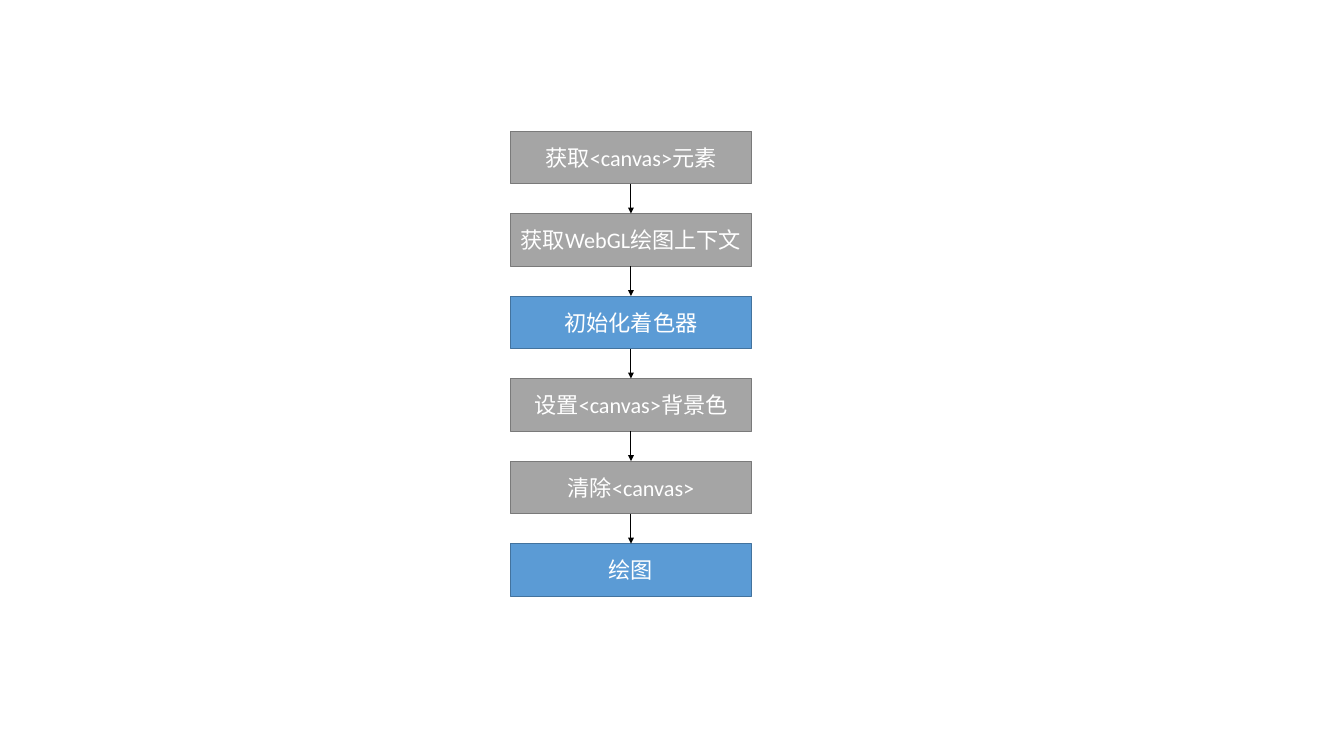
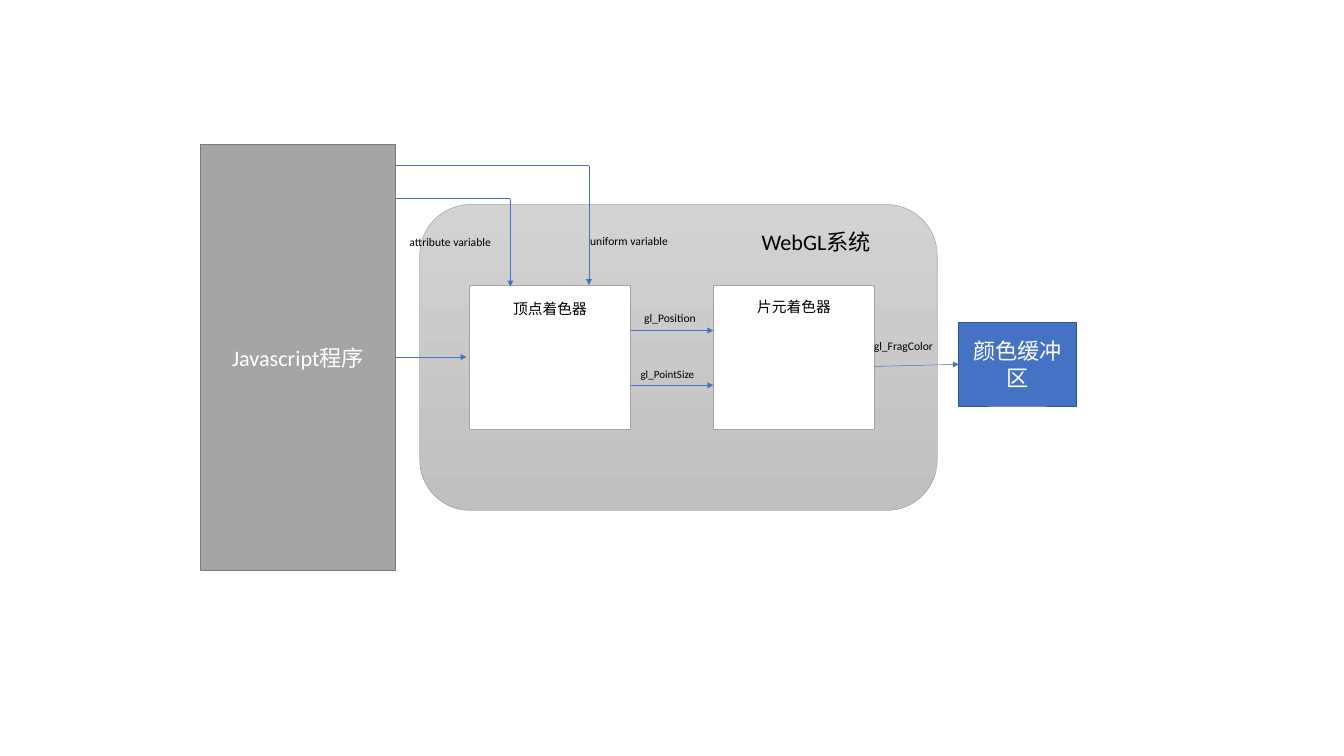
from pptx import Presentation
from pptx.dml.color import RGBColor
from pptx.enum.shapes import MSO_CONNECTOR, MSO_SHAPE
from pptx.enum.text import MSO_ANCHOR, PP_ALIGN
from pptx.oxml.ns import qn
from pptx.util import Inches, Pt
from lxml import etree

RECT, ROUND = MSO_SHAPE.RECTANGLE, MSO_SHAPE.ROUNDED_RECTANGLE
LINE = MSO_CONNECTOR.STRAIGHT
TOP, MID = MSO_ANCHOR.TOP, MSO_ANCHOR.MIDDLE
LEFT, CENTER = PP_ALIGN.LEFT, PP_ALIGN.CENTER

# Shared style
FONT, BIG, SMALL, LABEL = "Calibri", 22.2, 14.7, 11.6
HEX = {"white": "FFFFFF", "black": "000000", "gray": "A5A5A5",
       "gray edge": "7A7A7A", "sky": "5B9BD5", "sky edge": "43739E",
       "blue": "4472C4", "blue edge": "325491",
       "light": "D2D2D2", "dark": "C0C0C0"}
RGB = {name: RGBColor.from_string(code) for name, code in HEX.items()}

deck = Presentation()
deck.slide_width, deck.slide_height = Inches(18.67), Inches(10.5)
blank = deck.slide_layouts[6]


def add_box(slide, area, text="", fill=None, edge=None, size=BIG,
            ink="white", kind=RECT, inset=None):
    """Add a filled box, or a plain label when no fill is given."""
    place = [Inches(v) for v in area]
    if fill:
        box = slide.shapes.add_shape(kind, *place)
        box.shadow.inherit = False
        box.fill.solid()
        box.fill.fore_color.rgb = RGB[fill]
        box.line.color.rgb = RGB[edge]
        box.line.width = Pt(1)
    else:
        box = slide.shapes.add_textbox(*place)
    if text:
        frame = box.text_frame
        frame.word_wrap = True
        frame.vertical_anchor = MID if fill and inset is None else TOP
        if inset is not None:
            frame.margin_top = Inches(inset)
        para = frame.paragraphs[0]
        para.alignment = CENTER if fill else LEFT
        run = para.add_run()
        run.text = text
        run.font.name, run.font.size = FONT, Pt(size)
        run.font.color.rgb = RGB[ink]
    return box


def add_line(slide, start, end, ink, width, head=True):
    """Add a straight line, with an arrowhead at its end by default."""
    line = slide.shapes.add_connector(LINE, *[Inches(v) for v in start + end])
    line.line.color.rgb = RGB[ink]
    line.line.width = Pt(width)
    if head:
        etree.SubElement(line.line._get_or_add_ln(), qn("a:tailEnd"),
                         type="triangle")
    etree.SubElement(line._element.spPr, qn("a:effectLst"))


# Slide 1: drawing steps in one column
flow = deck.slides.add_slide(blank)
steps = [("获取<canvas>元素", "gray"), ("获取WebGL绘图上下文", "gray"),
         ("初始化着色器", "sky"), ("设置<canvas>背景色", "gray"),
         ("清除<canvas>", "gray"), ("绘图", "sky")]
left, first, last, wide, high = 7.09, 1.82, 7.55, 3.35, 0.73
pitch = (last - first) / (len(steps) - 1)
axis = left + wide / 2
for row, (text, fill) in enumerate(steps):
    top = first + row * pitch
    add_box(flow, (left, top, wide, high), text, fill, fill + " edge")
    if row:
        add_line(flow, (axis, top - pitch + high), (axis, top), "black", 1)

# Slide 2: program, shaders and colour buffer
system = deck.slides.add_slide(blank)
add_box(system, (2.79, 2, 2.7, 5.92), "Javascript程序", "gray", "gray edge")
panel = add_box(system, (5.83, 2.84, 7.19, 4.25), fill="gray", edge="gray",
                kind=ROUND)
panel.line.width = Pt(0.5)
panel.fill.gradient()
panel.fill.gradient_angle = 270
for stop, shade, pos in zip(panel.fill.gradient_stops, ("light", "dark"),
                            (0, 1)):
    stop.color.rgb = RGB[shade]
    stop.position = pos

# Shader boxes
for x, text, inset in [(6.52, "顶点着色器", 0.2), (9.91, "片元着色器", 0.17)]:
    add_box(system, (x, 3.96, 2.24, 2), text, "white", "gray", SMALL,
            "black", inset=inset)
add_box(system, (13.32, 4.48, 1.63, 1.16), "颜色缓冲区", "blue", "blue edge")

# Data routes: only the last leg of each has an arrowhead
routes = [[(5.49, 2.3), (8.18, 2.3), (8.18, 3.96)],
          [(5.49, 2.76), (7.09, 2.76), (7.09, 3.98)],
          [(5.49, 4.96), (6.48, 4.96)],
          [(8.76, 4.59), (9.91, 4.59)],
          [(8.76, 5.35), (9.91, 5.35)],
          [(12.14, 5.09), (13.32, 5.06)]]
for route in routes:
    for start, end in zip(route, route[1:]):
        add_line(system, start, end, "blue", 0.5, end == route[-1])

# Labels
labels = [("attribute variable", 5.59, 3.21, 1.53, LABEL),
          ("uniform variable", 8.1, 3.2, 1.4, LABEL),
          ("gl_Position", 8.85, 4.27, 0.96, LABEL),
          ("gl_PointSize", 8.8, 5.06, 1.15, 11),
          ("gl_FragColor", 12.04, 4.66, 1.1, LABEL),
          ("WebGL系统", 10.48, 3.12, 1.85, BIG)]
for text, x, y, span, size in labels:
    tall = 0.48 if size == BIG else 0.3
    add_box(system, (x, y, span, tall), text, size=size, ink="black")

deck.save("out.pptx")
